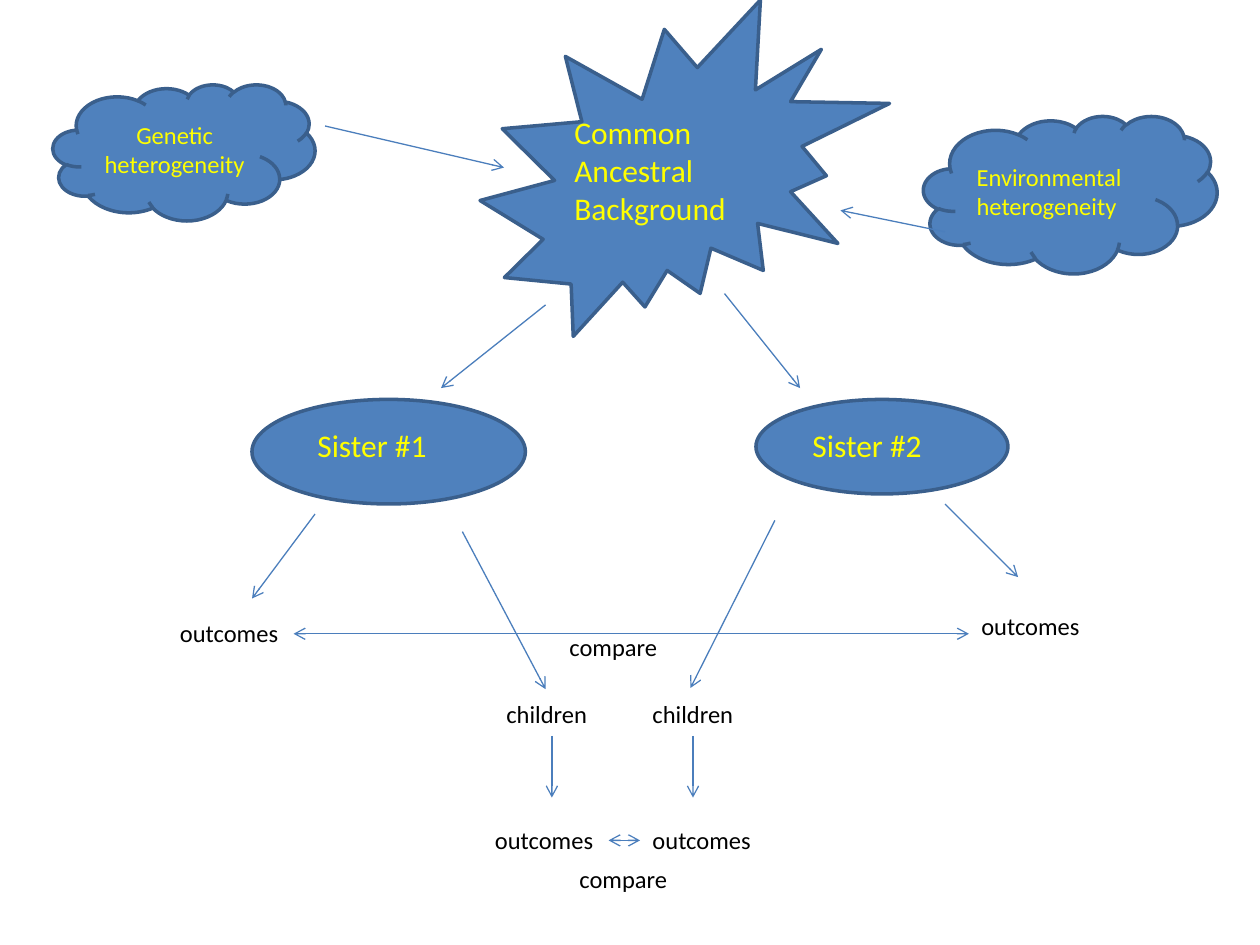
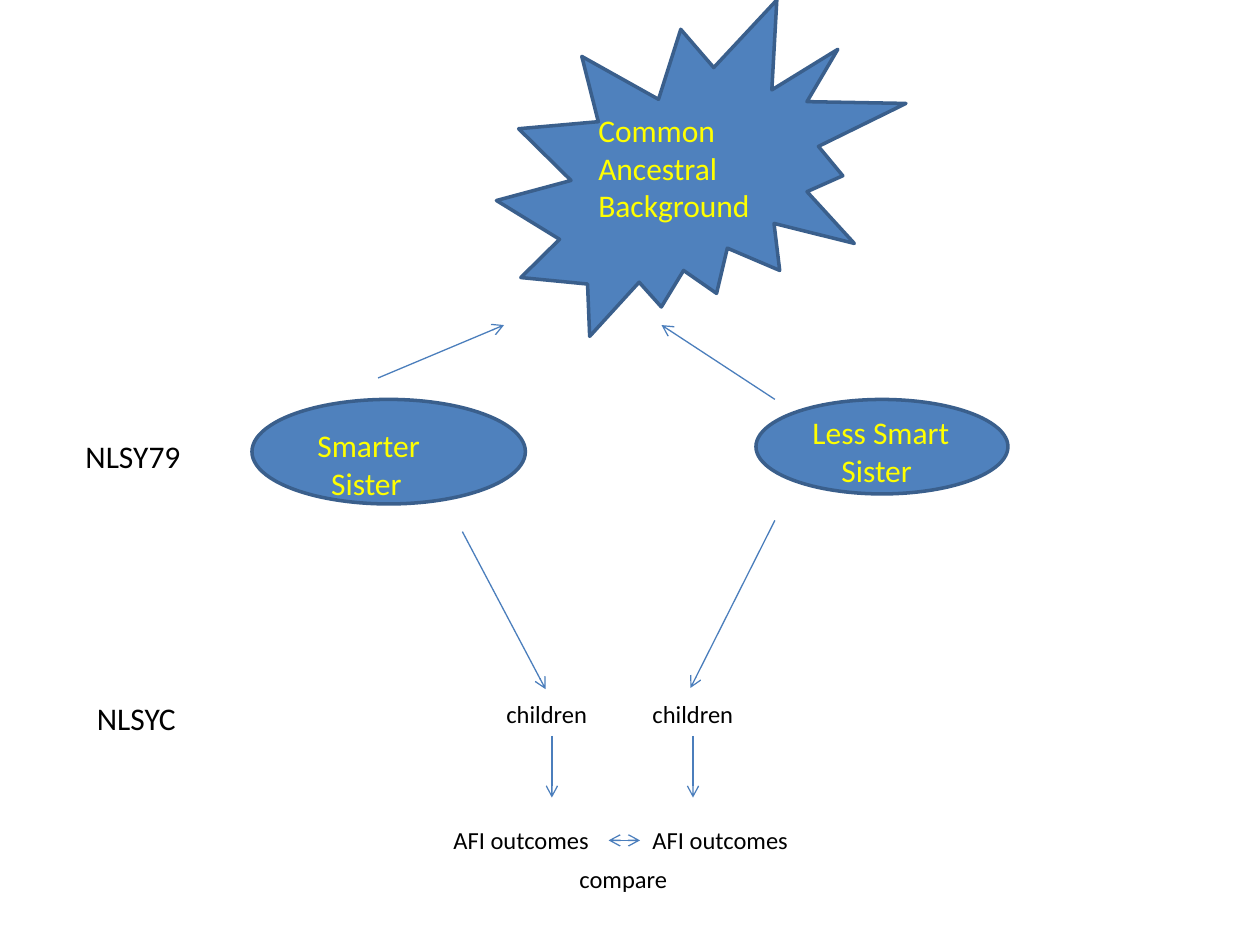
"""Build two diagrams comparing sisters who share an ancestral background."""
from lxml import etree
from pptx import Presentation
from pptx.dml.color import RGBColor
from pptx.enum.shapes import MSO_CONNECTOR, MSO_SHAPE
from pptx.enum.text import MSO_ANCHOR, MSO_AUTO_SIZE, PP_ALIGN
from pptx.oxml.ns import qn
from pptx.util import Inches, Pt

BLUE = RGBColor(0x4F, 0x81, 0xBD)
EDGE = RGBColor(0x3A, 0x5F, 0x8C)
ARROW = RGBColor(0x4B, 0x7E, 0xBC)
YELLOW = RGBColor(0xFF, 0xFF, 0x00)
BLACK = RGBColor(0x00, 0x00, 0x00)
ELLIPSE, CLOUD, BURST = MSO_SHAPE.OVAL, MSO_SHAPE.CLOUD, MSO_SHAPE.EXPLOSION2
STRAIGHT = MSO_CONNECTOR.STRAIGHT
MIDDLE = MSO_ANCHOR.MIDDLE
CENTER = PP_ALIGN.CENTER
GROW = MSO_AUTO_SIZE.SHAPE_TO_FIT_TEXT
FONT = "Calibri"
SMALL, LARGE = 14, 18
CONTENT, BLANK = 1, 6


class Diagram:
    """Style and current slide of the sister diagrams."""

    def __init__(self):
        self.prs = Presentation()
        self.prs.slide_width, self.prs.slide_height = Inches(10), Inches(7.5)
        self.slide = None

    def new_slide(self, layout):
        self.slide = self.prs.slides.add_slide(self.prs.slide_layouts[layout])

    def set_text(self, sp, text, size, color):
        tf = sp.text_frame
        tf.word_wrap = True
        tf.text = text
        for p in tf.paragraphs:
            for r in p.runs:
                r.font.name, r.font.size = FONT, Pt(size)
                r.font.color.rgb = color
        return tf

    def paint(self, sp):
        sp.fill.solid()
        sp.fill.fore_color.rgb = BLUE
        sp.line.color.rgb = EDGE
        sp.line.width = Pt(2)

    def shape(self, kind, x, y, w, h, text=""):
        sp = self.slide.shapes.add_shape(kind, *map(Inches, (x, y, w, h)))
        sp.shadow.inherit = False
        self.paint(sp)
        if text:
            tf = self.set_text(sp, text, SMALL, YELLOW)
            tf.vertical_anchor = MIDDLE
            for p in tf.paragraphs:
                p.alignment = CENTER

    def body_cloud(self, x, y, w, h, text):
        title, sp = self.slide.shapes.title, self.slide.placeholders[1]
        title.element.getparent().remove(title.element)
        sp.left, sp.top, sp.width, sp.height = map(Inches, (x, y, w, h))
        geom = etree.SubElement(sp.element.spPr, qn("a:prstGeom"), prst="cloud")
        etree.SubElement(geom, qn("a:avLst"))
        self.paint(sp)
        tf = self.set_text(sp, text, SMALL, YELLOW)
        tf.vertical_anchor = MIDDLE
        self.indent(tf.paragraphs[0], 0)
        etree.SubElement(tf.paragraphs[0]._p.get_or_add_pPr(), qn("a:buNone"))

    def indent(self, p, left):
        pPr = p._p.get_or_add_pPr()
        pPr.set("marL", str(Inches(left)))
        pPr.set("indent", "0")

    def label(self, text, x, y, w, h=0.34, size=SMALL, color=BLACK, indents=()):
        sp = self.slide.shapes.add_textbox(*map(Inches, (x, y, w, h)))
        tf = self.set_text(sp, text, size, color)
        tf.auto_size = GROW
        for p, left in zip(tf.paragraphs, indents):
            self.indent(p, left)

    def arrow(self, x1, y1, x2, y2, both=False):
        line = self.slide.shapes.add_connector(STRAIGHT, *map(Inches, (x1, y1, x2, y2)))
        line.line.color.rgb = ARROW
        line.line.width = Pt(0.75)
        spPr = line._element.spPr
        ln = spPr.find(qn("a:ln"))
        for end in ("a:headEnd", "a:tailEnd") if both else ("a:tailEnd",):
            etree.SubElement(ln, qn(end), type="arrow")
        etree.SubElement(spPr, qn("a:effectLst"))

    def background(self, x, text_x, text_y):
        self.shape(BURST, x, 0, 3.25, 2.67)
        self.label("Common\nAncestral\nBackground", text_x, text_y, 2.33, 1.01, LARGE, YELLOW)

    def sisters(self, first, second, second_y, height, first_indents, second_indents):
        self.shape(ELLIPSE, 2, 3.17, 2.17, 0.83)
        self.shape(ELLIPSE, 6, 3.17, 2, 0.75)
        self.label(first, 2.25, 3.33, 1.92, height, LARGE, YELLOW, first_indents)
        self.label(second, 6.35, second_y, 1.33, height, LARGE, YELLOW, second_indents)

    def children(self, outcome, left_x, left_w, right_w):
        self.arrow(3.67, 4.22, 4.33, 5.47)
        self.arrow(6.15, 4.13, 5.48, 5.46)
        self.label("children", 3.92, 5.5, 0.92)
        self.label("children", 5.08, 5.5, 1.17)
        for x in (4.38, 5.5):
            self.arrow(x, 5.84, x, 6.33)
        self.label(outcome, left_x, 6.5, left_w)
        self.label(outcome, 5.08, 6.5, right_w)
        self.arrow(4.83, 6.67, 5.08, 6.67, both=True)
        self.label("compare", 4.5, 6.81, 1.17)


def heterogeneity_slide(d):
    """Draw the sisters with their sources of heterogeneity."""
    d.new_slide(CONTENT)
    d.body_cloud(7.33, 0.92, 2.33, 1.25, "Environmental heterogeneity")
    d.sisters("Sister #1", "Sister #2", 3.33, 0.42, (0.17,), ())
    d.arrow(2.5, 4.08, 2, 4.75)
    d.arrow(7.5, 4, 8.08, 4.58)
    d.label("outcomes", 1.33, 4.86, 1)
    d.label("outcomes", 7.69, 4.8, 1.06)
    d.children("outcomes", 3.83, 1, 1.08)
    d.arrow(2.33, 5.03, 7.69, 5.03, both=True)
    d.label("compare", 4.42, 4.97, 0.92)
    d.arrow(4.33, 2.42, 3.5, 3.08)
    d.arrow(5.75, 2.33, 6.35, 3.08)
    d.background(3.81, 4.46, 0.85)
    d.shape(CLOUD, 0.42, 0.67, 2.08, 1.08, "Genetic\nheterogeneity")
    d.arrow(2.58, 1, 4, 1.33)
    d.arrow(7.5, 1.84, 6.67, 1.67)


def survey_slide(d):
    """Draw the smarter and less smart sisters by survey."""
    d.new_slide(BLANK)
    d.sisters("Smarter\nSister", "Less Smart\nSister", 3.23, 0.71, (0.17, 0.28), (0, 0.23))
    d.children("AFI outcomes", 3.5, 1.33, 1.5)
    d.arrow(3, 3, 4, 2.58)
    d.arrow(6.15, 3.17, 5.25, 2.58)
    d.background(3.94, 4.65, 0.83)
    d.label("NLSY79", 0.58, 3.42, 1.08, 0.4, LARGE)
    d.label("NLSYC", 0.67, 5.5, 1.75, 0.42, LARGE)


diagram = Diagram()
heterogeneity_slide(diagram)
survey_slide(diagram)
diagram.prs.save("out.pptx")
